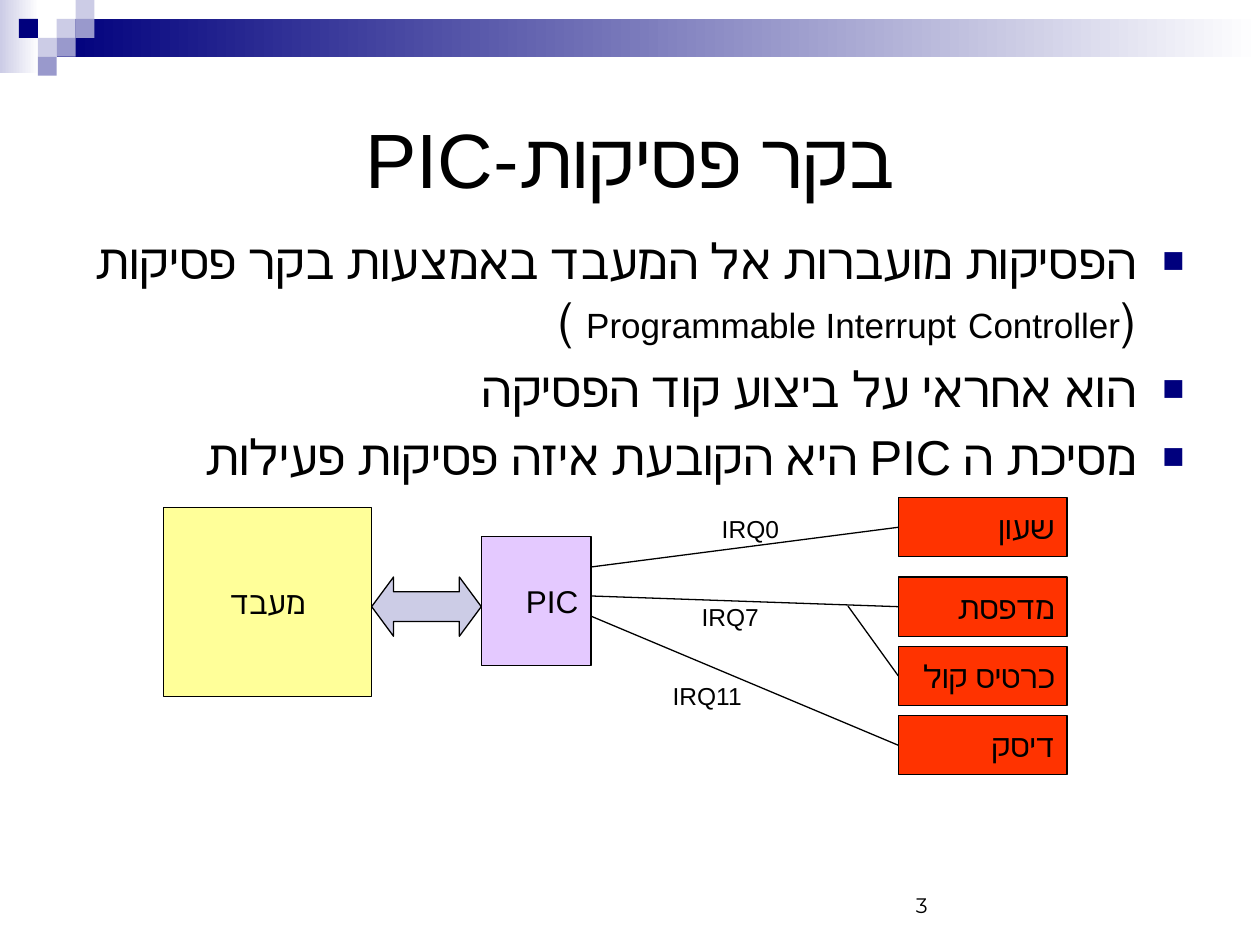
"""Builds a slide about the programmable interrupt controller."""
import pptx
import pptx.util
import pptx.dml.color
import pptx.enum.shapes
import pptx.enum.text
import pptx.oxml
import pptx.oxml.ns

Inches = pptx.util.Inches
Shape = pptx.enum.shapes.MSO_SHAPE
Align = pptx.enum.text.PP_ALIGN
Anchor = pptx.enum.text.MSO_ANCHOR
AutoSize = pptx.enum.text.MSO_AUTO_SIZE

COLORS = {
    "black": "000000", "white": "FFFFFF", "navy": "00007D", "pale": "CCCCE6",
    "periwinkle": "9999CC", "yellow": "FFFF99", "lilac": "E4C9FF", "red": "FF3300",
}


def color(name):
    return pptx.dml.color.RGBColor.from_string(COLORS[name])


def write(para, text, size=18, font="Arial", ink="black", align=None, rtl=True):
    span = para.add_run()
    span.text = text
    span.font.size = pptx.util.Pt(size)
    span.font.name = font
    span.font.color.rgb = color(ink)
    if align is not None:
        para.alignment = align
    if rtl:
        para._p.get_or_add_pPr().set("rtl", "1")


class SlideBuilder:
    def __init__(self, deck):
        self.slide = deck.slides.add_slide(deck.slide_layouts[1])
        self.line_width = pptx.util.Pt(0.75)

    def place(self, item, left, top, width, height):
        item.left, item.top = Inches(left), Inches(top)
        item.width, item.height = Inches(width), Inches(height)

    def shape(self, kind, left, top, width, height, fill, outline=True):
        box = self.slide.shapes.add_shape(
            kind, Inches(left), Inches(top), Inches(width), Inches(height))
        box.shadow.inherit = False
        if isinstance(fill, tuple):
            box.fill.gradient()
            box.fill.gradient_angle = 0
            for stop, name in zip(box.fill.gradient_stops, fill):
                stop.color.rgb = color(name)
        else:
            box.fill.solid()
            box.fill.fore_color.rgb = color(fill)
        if outline:
            box.line.color.rgb = color("black")
            box.line.width = self.line_width
        else:
            box.line.fill.background()
        return box

    def block(self, text, left, top, width, height, fill, align=Align.RIGHT):
        box = self.shape(Shape.RECTANGLE, left, top, width, height, fill)
        box.text_frame.word_wrap = False
        box.text_frame.vertical_anchor = Anchor.MIDDLE
        write(box.text_frame.paragraphs[0], text, align=align)
        return box

    def line(self, left, top, target):
        link = self.slide.shapes.add_connector(
            pptx.enum.shapes.MSO_CONNECTOR.STRAIGHT, Inches(left), Inches(top),
            target.left, target.top + target.height // 2)
        link.end_connect(target, 1)
        link.line.color.rgb = color("black")
        link.line.width = self.line_width
        link._element.spPr.append(pptx.oxml.parse_xml(
            f'<a:effectLst {pptx.oxml.ns.nsdecls("a")}/>'))

    def label(self, text, left, top, width, height, anchor=Anchor.TOP, wrap=False, **style):
        box = self.slide.shapes.add_textbox(
            Inches(left), Inches(top), Inches(width), Inches(height))
        frame = box.text_frame
        frame.word_wrap = wrap
        frame.auto_size = AutoSize.NONE if wrap else AutoSize.SHAPE_TO_FIT_TEXT
        frame.vertical_anchor = anchor
        write(frame.paragraphs[0], text, **style)

    def title(self, text, *area):
        title = self.slide.shapes.title
        self.place(title, *area)
        title.text_frame.vertical_anchor = Anchor.MIDDLE
        write(title.text_frame.paragraphs[0], text, size=44, align=Align.CENTER)

    def bullets(self, items, *area):
        body = self.slide.placeholders[1]
        self.place(body, *area)
        frame = body.text_frame
        frame.auto_size = AutoSize.NONE
        for index, spans in enumerate(items):
            para = frame.add_paragraph() if index else frame.paragraphs[0]
            for text, size in spans:
                write(para, text, size=size, align=Align.RIGHT)
            self.bullet(para)

    def bullet(self, para):
        properties = para._p.get_or_add_pPr()
        indent = Inches(0.38)
        properties.set("marL", str(indent))
        properties.set("indent", str(-indent))
        namespace = pptx.oxml.ns.nsdecls("a")
        for xml in (
            f'<a:buClr {namespace}><a:srgbClr val="{COLORS["navy"]}"/></a:buClr>',
            f'<a:buSzPct {namespace} val="75000"/>',
            f'<a:buFont {namespace} typeface="Arial"/>',
            f'<a:buChar {namespace} char="■"/>',
        ):
            properties.append(pptx.oxml.parse_xml(xml))


def draw_banner(builder):
    builder.shape(Shape.RECTANGLE, 0, 0, 0.31, 0.58, ("pale", "white"), outline=False)
    builder.shape(Shape.RECTANGLE, 0.45, 0.15, 9.55, 0.3, ("navy", "white"), outline=False)
    side = 0.15
    tiles = [(3, 1, "pale"), (4, 0, "pale"), (4, 1, "periwinkle"), (2, 2, "pale"),
             (1, 1, "navy"), (3, 2, "periwinkle"), (2, 3, "periwinkle")]
    for column, row, fill in tiles:
        builder.shape(Shape.RECTANGLE, column * side, row * side, side, side, fill, outline=False)


def draw_diagram(builder):
    builder.block("מעבד", 1.3, 4.03, 1.65, 1.5, "yellow", align=Align.CENTER)
    builder.block("PIC", 3.82, 4.26, 0.87, 1.02, "lilac")
    arrow = builder.shape(Shape.LEFT_RIGHT_ARROW, 2.95, 4.58, 0.87, 0.47, "pale")
    arrow.adjustments[0] = 0.5
    arrow.adjustments[1] = 0.37

    devices = [("שעון", 3.95, 4.69, 4.5), ("מדפסת", 4.58, 4.69, 4.73),
               ("כרטיס קול", 5.13, 6.73, 4.81), ("דיסק", 5.68, 4.69, 4.89)]
    for name, top, start_left, start_top in devices:
        device = builder.block(name, 7.13, top, 1.34, 0.47, "red")
        builder.line(start_left, start_top, device)

    requests = [("IRQ0", 5.63, 4.03, 0.67), ("IRQ7", 5.47, 4.73, 0.67),
                ("IRQ11", 5.24, 5.36, 0.77)]
    for name, left, top, width in requests:
        builder.label(name, left, top, width, 0.33, size=14)


def main():
    deck = pptx.Presentation()
    deck.slide_width, deck.slide_height = Inches(10), Inches(7.5)
    builder = SlideBuilder(deck)
    draw_banner(builder)
    builder.title("בקר פסיקות-PIC", 0.5, 0.5, 9, 1.5)
    builder.bullets([
        [("הפסיקות מועברות אל המעבד באמצעות בקר פסיקות (", 28),
         ("Programmable Interrupt", 20), (" ", 24), ("Controller", 20), (" )", 28)],
        [("הוא אחראי על ביצוע קוד הפסיקה", 28)],
        [("מסיכת ה PIC היא הקובעת איזה פסיקות פעילות", 28)],
    ], 0.5, 1.78, 9, 2.43)
    draw_diagram(builder)
    builder.label("3", 7.17, 6.83, 2.33, 0.5, anchor=Anchor.BOTTOM, wrap=True,
                  size=12, font="Montserrat", rtl=False)
    deck.save("out.pptx")


if __name__ == "__main__":
    main()
